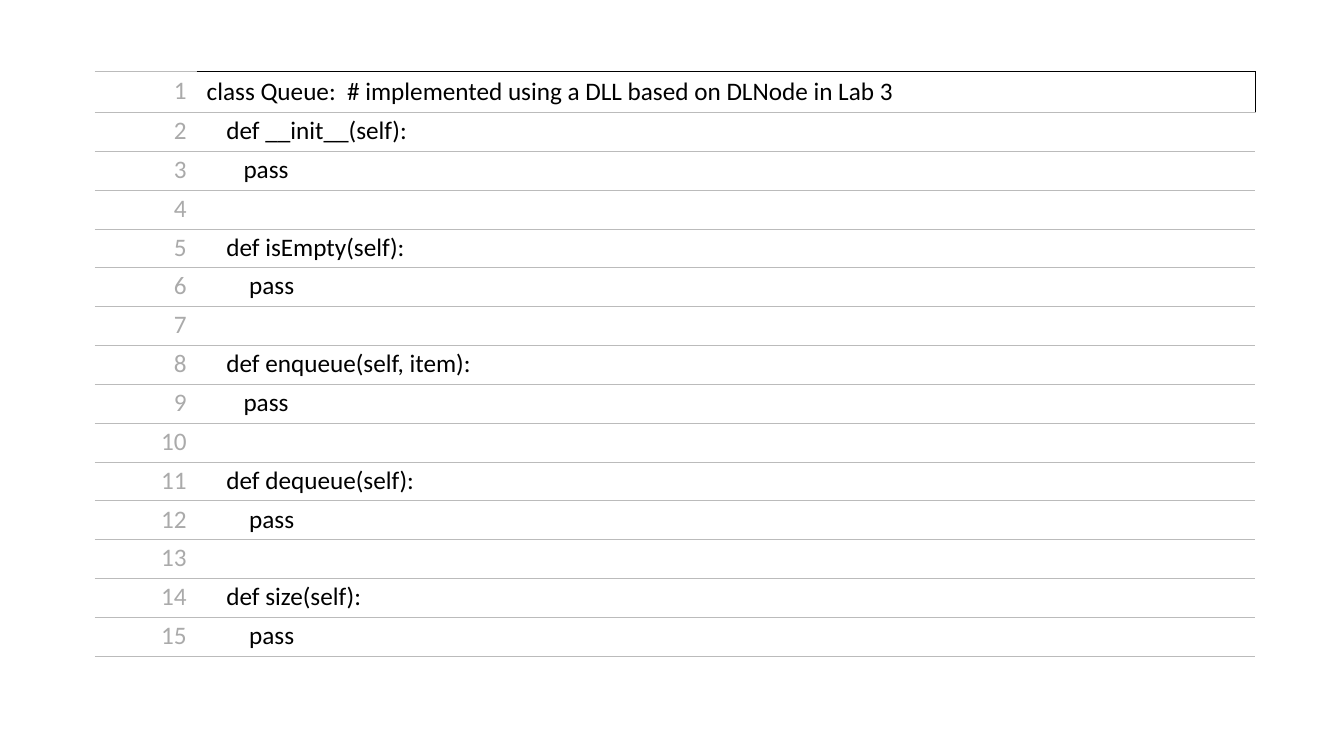
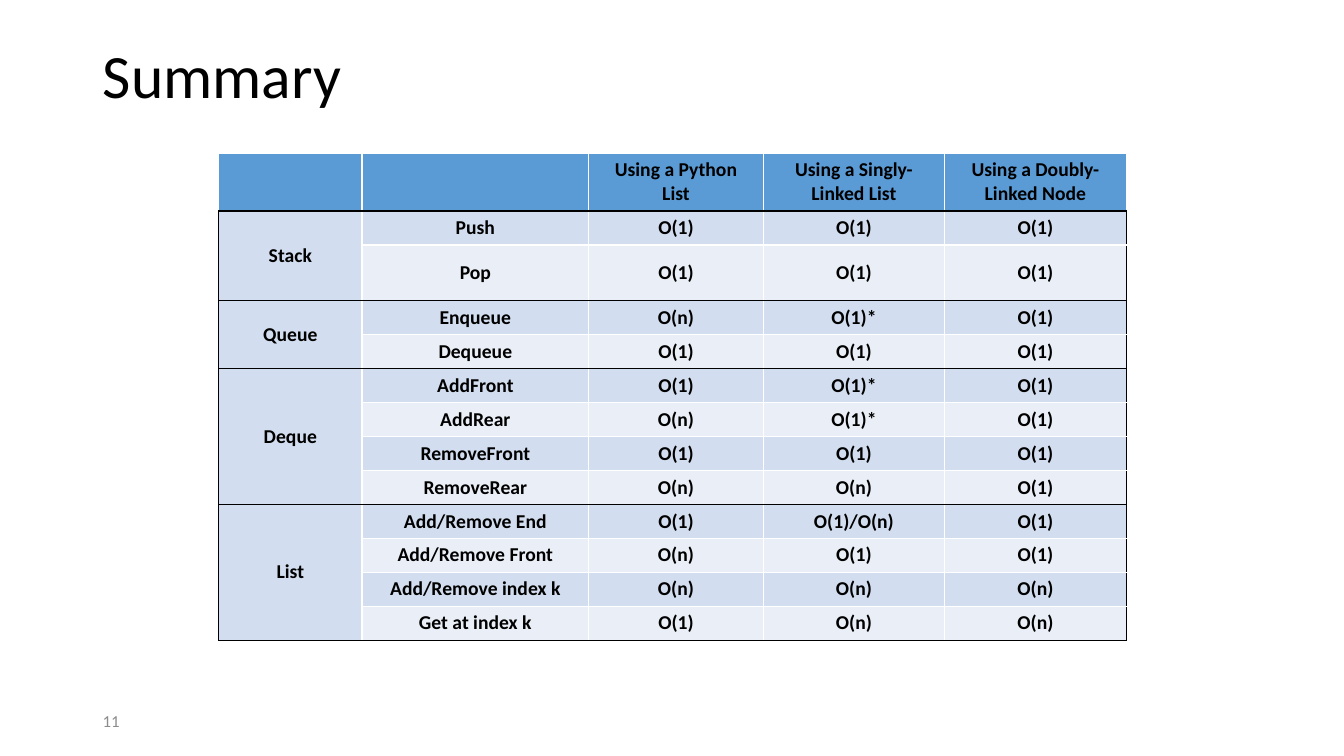
from pptx import Presentation
from pptx.dml.color import RGBColor
from pptx.enum.text import MSO_ANCHOR, PP_ALIGN
from pptx.oxml.ns import qn
from pptx.util import Inches, Pt
from lxml import etree

LEFT, MID, RIGHT = PP_ALIGN.LEFT, PP_ALIGN.CENTER, PP_ALIGN.RIGHT
TOP, CENTER = MSO_ANCHOR.TOP, MSO_ANCHOR.MIDDLE

BLACK = RGBColor(0x00, 0x00, 0x00)
WHITE = RGBColor(0xFF, 0xFF, 0xFF)
RULE = RGBColor(0xBB, 0xBB, 0xBB)
FAINT = RGBColor(0xAA, 0xAA, 0xAA)
GREY = RGBColor(0x8C, 0x8C, 0x8C)
HEAD = RGBColor(0x5B, 0x9B, 0xD5)
BANDS = RGBColor(0xD2, 0xDE, 0xEF), RGBColor(0xEA, 0xEF, 0xF7)

FACE = "Calibri"
WIDE, HIGH = 13.33, 7.5
EDGE = 0.92
SPACE = 0.0565

CODE = [
    (0, "class\u00a0Queue:  # implemented using a DLL based on DLNode in Lab 3"),
    (4, "def\u00a0__init__(self):"),
    (7, "pass"),
    (0, ""),
    (4, "def\u00a0isEmpty(self):"),
    (8, "pass"),
    (0, ""),
    (4, "def\u00a0enqueue(self,\u00a0item):"),
    (7, "pass"),
    (0, ""),
    (4, "def\u00a0dequeue(self):"),
    (8, "pass"),
    (0, ""),
    (4, "def\u00a0size(self):"),
    (8, "pass"),
]

TITLES = ["", "", "Using a Python List", "Using a Singly-Linked List",
          "Using a Doubly-Linked Node"]
GROUPS = {
    "Stack": [("Push", "O(1)", "O(1)", "O(1)"),
              ("Pop", "O(1)", "O(1)", "O(1)")],
    "Queue": [("Enqueue", "O(n)", "O(1)*", "O(1)"),
              ("Dequeue", "O(1)", "O(1)", "O(1)")],
    "Deque": [("AddFront", "O(1)", "O(1)*", "O(1)"),
              ("AddRear", "O(n)", "O(1)*", "O(1)"),
              ("RemoveFront", "O(1)", "O(1)", "O(1)"),
              ("RemoveRear", "O(n)", "O(n)", "O(1)")],
    "List": [("Add/Remove End", "O(1)", "O(1)/O(n)", "O(1)"),
             ("Add/Remove Front", "O(n)", "O(1)", "O(1)"),
             ("Add/Remove index k", "O(n)", "O(n)", "O(n)"),
             ("Get at index k", "O(1)", "O(n)", "O(n)")],
}


def apply(item, form):
    for key, value in form.items():
        setattr(item, key, value)


def write(frame, text, size, color, align=LEFT, bold=False):
    para = frame.paragraphs[0]
    para.alignment = align
    font = para.font
    if text:
        run = para.add_run()
        run.text = text
        font = run.font
    apply(font, {"name": FACE, "size": Pt(size), "bold": bold})
    font.color.rgb = color
    return para


def border(cell, sides, width):
    props = cell._tc.get_or_add_tcPr()
    for side in "LRTB":
        color = sides.get(side)
        line = etree.SubElement(props, qn("a:ln" + side))
        if color is None:
            line.set("w", "0")
            etree.SubElement(line, qn("a:noFill"))
        else:
            line.set("w", str(Pt(width)))
            fill = etree.SubElement(line, qn("a:solidFill"))
            etree.SubElement(fill, qn("a:srgbClr")).set("val", str(color))


def paint(cell, color):
    cell.fill.solid()
    cell.fill.fore_color.rgb = color


def add_grid(slide, left, top, cols, rows):
    frame = slide.shapes.add_table(
        len(rows), len(cols), Inches(left), Inches(top),
        Inches(sum(cols)), Inches(sum(rows)))
    grid = frame.table
    apply(grid, {"first_row": False, "horz_banding": False})
    for col, width in zip(grid.columns, cols):
        col.width = Inches(width)
    for row, height in zip(grid.rows, rows):
        row.height = Inches(height)
    return grid


def add_code(slide):
    grid = add_grid(slide, 0.94, 0.71, [1.01, 10.5], [0.38] * len(CODE))
    for num, (depth, text) in enumerate(CODE):
        first = num == 0
        label, line = grid.cell(num, 0), grid.cell(num, 1)
        pad = {"vertical_anchor": CENTER, "margin_top": Inches(0.03)}
        apply(label, pad)
        if first:
            line.vertical_anchor = TOP
        else:
            apply(line, pad)
            line.margin_left = Inches(0.07 + depth * SPACE)
        write(label.text_frame, str(num + 1), 18, FAINT, RIGHT)
        write(line.text_frame, text, 18, BLACK)
        sides = {"T": RULE, "B": RULE}
        border(label, sides, 0.75)
        border(line, {"T": BLACK, "R": BLACK, "B": RULE} if first else sides,
               0.75)
        for cell in (label, line):
            paint(cell, WHITE)


def add_costs(slide):
    body = [(name, at, len(ops), op) for name, ops in GROUPS.items()
            for at, op in enumerate(ops)]
    heights = [0.57] + [0.55 if op[0] == "Pop" else 0.33
                        for *_, op in body]
    grid = add_grid(slide, 2.17, 1.52, [1.42, 2.25, 1.73, 1.8, 1.8], heights)
    for col, text in enumerate(TITLES):
        cell = grid.cell(0, col)
        write(cell.text_frame, text, 14, BLACK, MID, True)
        border(cell, {"L": WHITE, "R": WHITE, "T": WHITE, "B": BLACK}, 1)
        paint(cell, HEAD)
    last = len(TITLES) - 1
    for row, (name, at, count, op) in enumerate(body, 1):
        start, end = at == 0, at == count - 1
        for col, text in enumerate((name if start else "", *op)):
            cell = grid.cell(row, col)
            cell.vertical_anchor = CENTER
            write(cell.text_frame, text, 14, BLACK, MID, True)
            border(cell, {
                "L": BLACK if col == 0 else WHITE,
                "R": BLACK if col == last else WHITE,
                "T": BLACK if start or col == 0 else WHITE,
                "B": BLACK if end or col == 0 else WHITE,
            }, 1)
            paint(cell, BANDS[0 if col == 0 else at % 2])
        if start:
            grid.cell(row, 0).merge(grid.cell(row + count - 1, 0))


def add_title(slide, text):
    title = slide.shapes.title
    apply(title, {"left": Inches(EDGE), "top": Inches(0.4),
                  "width": Inches(11.5), "height": Inches(1.45)})
    title.text_frame.vertical_anchor = TOP
    write(title.text_frame, text, 44, BLACK).line_spacing = 0.9


def add_page(slide, num):
    box = slide.shapes.add_textbox(
        Inches(EDGE), Inches(6.95), Inches(3), Inches(0.4))
    apply(box.text_frame, {"word_wrap": True, "vertical_anchor": CENTER})
    write(box.text_frame, str(num), 12, GREY)


def main():
    deck = Presentation()
    apply(deck, {"slide_width": Inches(WIDE), "slide_height": Inches(HIGH)})
    plain, titled = deck.slide_layouts[6], deck.slide_layouts[5]
    add_code(deck.slides.add_slide(plain))
    slide = deck.slides.add_slide(titled)
    add_title(slide, "Summary")
    add_costs(slide)
    add_page(slide, 11)
    deck.save("out.pptx")


main()
